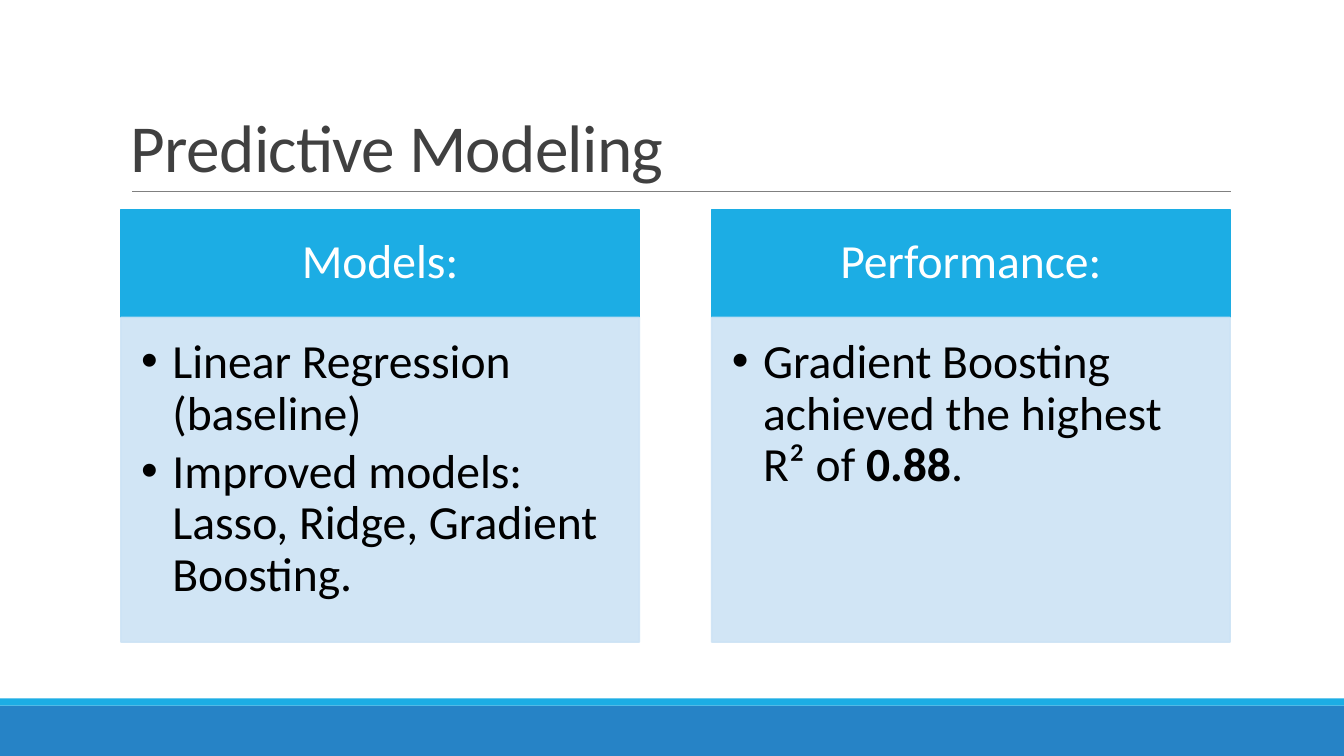
from lxml import etree
from pptx import Presentation
from pptx.dml.color import RGBColor
from pptx.enum.shapes import MSO_CONNECTOR, MSO_SHAPE
from pptx.enum.text import MSO_ANCHOR, PP_ALIGN
from pptx.oxml.ns import qn
from pptx.util import Inches, Pt

RECTANGLE = MSO_SHAPE.RECTANGLE
STRAIGHT = MSO_CONNECTOR.STRAIGHT
TOP, MIDDLE, BOTTOM = MSO_ANCHOR.TOP, MSO_ANCHOR.MIDDLE, MSO_ANCHOR.BOTTOM
LEFT, CENTER = PP_ALIGN.LEFT, PP_ALIGN.CENTER
FONT = "Calibri"
COLORS = {
    "accent": "1CADE4", "footer": "2683C6", "panel": "CDE3F5", "rule": "808080",
    "title": "404040", "white": "FFFFFF", "text": "000000",
}
SLIDE_WIDTH, SLIDE_HEIGHT = 13.33, 7.5
COLUMNS = [
    ("Models:", [
        [("Linear Regression (baseline)", False)],
        [("Improved models: Lasso, Ridge, Gradient Boosting.", False)],
    ]),
    ("Performance:", [
        [("Gradient Boosting achieved the highest R² of ", False), ("0.88", True), (".", False)],
    ]),
]


def color(name):
    """Return the named colour."""
    return RGBColor.from_string(COLORS[name])


def add_block(slide, box, fill, outlined=False, opacity=100):
    """Add a filled rectangle, with an outline of the same colour if wanted."""
    shape = slide.shapes.add_shape(RECTANGLE, *map(Inches, box))
    shape.shadow.inherit = False
    shape.fill.solid()
    shape.fill.fore_color.rgb = color(fill)
    if outlined:
        shape.line.color.rgb = color(fill)
        shape.line.width = Pt(1.25)
    else:
        shape.line.fill.background()
    if opacity < 100:
        for element in shape._element.spPr.iter(qn("a:srgbClr")):
            etree.SubElement(element, qn("a:alpha"), val=str(opacity * 1000))
    return shape


def set_frame(shape, anchor, insets):
    """Wrap the text of a shape, anchor it and set its insets."""
    frame = shape.text_frame
    frame.word_wrap = True
    frame.vertical_anchor = anchor
    frame.margin_left, frame.margin_top, frame.margin_right, frame.margin_bottom = map(Inches, insets)
    return frame


def write_paragraph(paragraph, runs, size, ink, alignment=LEFT, spacing=0.9, after=0):
    """Write (text, bold) runs into a paragraph and format them."""
    paragraph.alignment = alignment
    paragraph.line_spacing = spacing
    paragraph.space_after = Pt(after)
    for text, bold in runs:
        run = paragraph.add_run()
        run.text = text
        run.font.name = FONT
        run.font.size = Pt(size)
        run.font.bold = bold
        run.font.color.rgb = color(ink)


def add_bullet(paragraph, indent):
    """Give a paragraph a round bullet with a hanging indent."""
    properties = paragraph._p.get_or_add_pPr()
    properties.set("marL", str(Inches(indent)))
    properties.set("indent", str(-Inches(indent)))
    etree.SubElement(properties, qn("a:buFont"), typeface="Arial")
    etree.SubElement(properties, qn("a:buChar"), char="•")


def add_footer(slide, box):
    """Draw the footer band with a thin accent strip on its top."""
    left, top, width, height = box
    strip = 0.07
    add_block(slide, (left, top + strip, width, height - strip), "footer")
    add_block(slide, (left, top, width, strip), "accent")


def add_title(slide, box, text):
    """Place the title at the bottom of the box, with a rule below it."""
    left, top, width, height = box
    bottom = top + height
    rule = slide.shapes.add_connector(
        STRAIGHT, Inches(left + 0.11), Inches(bottom), Inches(left + width + 0.01), Inches(bottom))
    rule.line.color.rgb = color("rule")
    rule.line.width = Pt(0.5)
    etree.SubElement(rule._element.spPr, qn("a:effectLst"))
    title = slide.shapes.add_textbox(*map(Inches, box))
    paragraph = set_frame(title, BOTTOM, (0.1, 0.05, 0.1, 0.05)).paragraphs[0]
    write_paragraph(paragraph, [(text, False)], 48, "title", spacing=0.85)
    paragraph.runs[0].font._element.set("spc", "-50")


def add_column(slide, box, heading, bullets):
    """Draw a heading block above a panel of bullets."""
    left, top, width, height = box
    heading_height = 1.07
    header = add_block(slide, (left, top, width, heading_height), "accent", outlined=True)
    frame = set_frame(header, MIDDLE, (0.26, 0.15, 0.26, 0.15))
    write_paragraph(frame.paragraphs[0], [(heading, False)], 34, "white", CENTER)
    panel = add_block(slide, (left, top + heading_height, width, height - heading_height),
                      "panel", outlined=True, opacity=90)
    frame = set_frame(panel, TOP, (0.2, 0.2, 0.26, 0.3))
    for index, runs in enumerate(bullets):
        paragraph = frame.add_paragraph() if index else frame.paragraphs[0]
        write_paragraph(paragraph, runs, 34, "text", after=5)
        add_bullet(paragraph, 0.31)


def add_columns(slide, box, columns, gap):
    """Spread the columns evenly over the box."""
    left, top, width, height = box
    column_width = (width - gap * (len(columns) - 1)) / len(columns)
    for index, (heading, bullets) in enumerate(columns):
        column_left = left + index * (column_width + gap)
        add_column(slide, (column_left, top, column_width, height), heading, bullets)


def main():
    """Build the slide and save it."""
    presentation = Presentation()
    presentation.slide_width = Inches(SLIDE_WIDTH)
    presentation.slide_height = Inches(SLIDE_HEIGHT)
    slide = presentation.slides.add_slide(presentation.slide_layouts[6])
    add_footer(slide, (0, 6.93, SLIDE_WIDTH, 0.57))
    add_title(slide, (1.2, 0.31, 11, 1.59), "Predictive Modeling")
    add_columns(slide, (1.2, 2.08, 11, 4.29), COLUMNS, gap=0.72)
    presentation.save("out.pptx")


if __name__ == "__main__":
    main()
